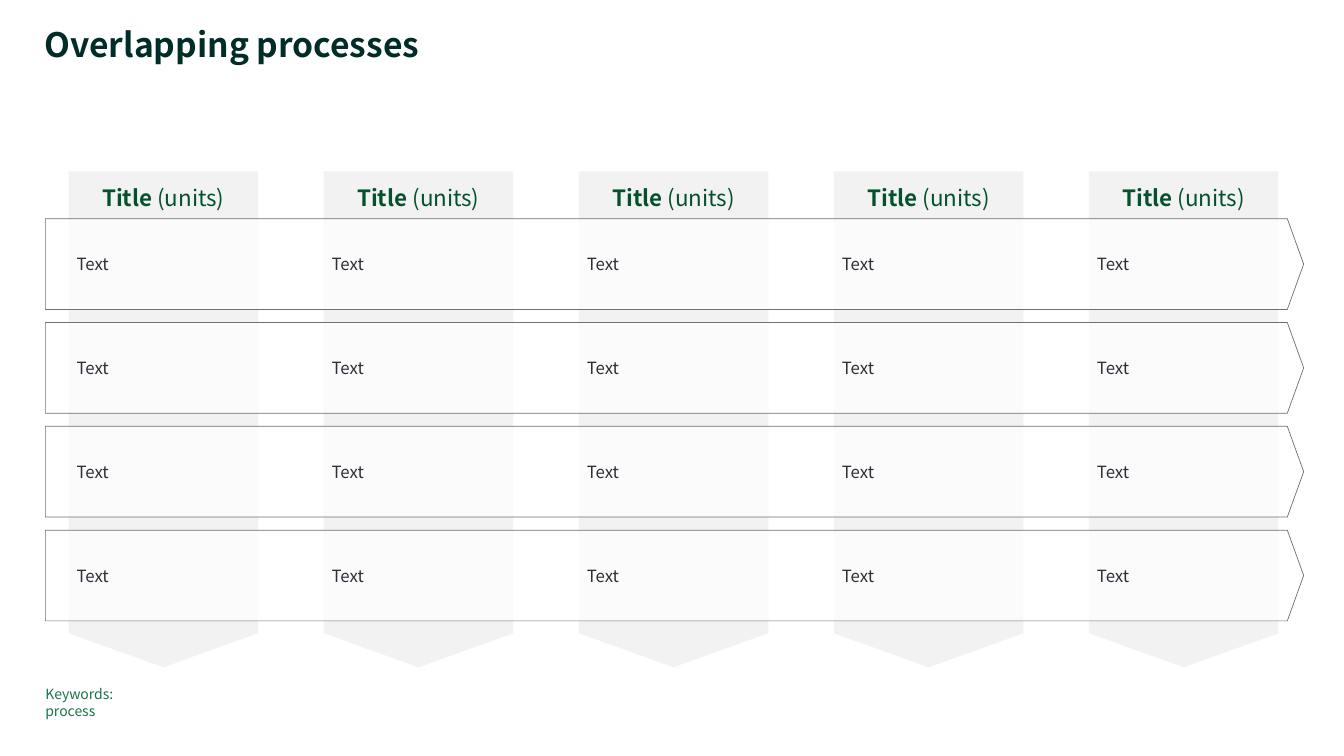
from lxml import etree
from pptx import Presentation
from pptx.dml.color import RGBColor
from pptx.enum.shapes import MSO_SHAPE
from pptx.enum.text import MSO_ANCHOR, PP_ALIGN
from pptx.oxml.ns import qn
from pptx.util import Inches, Pt

PENTAGON = MSO_SHAPE.PENTAGON
TOP, MIDDLE = MSO_ANCHOR.TOP, MSO_ANCHOR.MIDDLE
LEFT, CENTER = PP_ALIGN.LEFT, PP_ALIGN.CENTER

FONT = "Noto Sans CJK JP"
COLORS = {
    "title": "002D28",
    "heading": "03522D",
    "body": "2E2E38",
    "keywords": "1A7449",
    "band": "F2F2F2",
    "bar": "FFFFFF",
    "outline": "6E6F73",
}

# Grid in inches
MARGIN = 0.45
COLUMN_COUNT, COLUMN_LEFT, COLUMN_STEP, COLUMN_WIDTH = 5, 0.68, 2.53, 1.88
ROW_COUNT, ROW_TOP, ROW_STEP, ROW_HEIGHT = 4, 2.17, 1.03, 0.9
BAND_TOP, BAND_LENGTH = 1.7, 4.92
BAR_LENGTH = 12.48
HEADING_TOP, HEADING_HEIGHT = 1.82, 0.35
POINT_DEPTH = 0.18


def color(name):
    return RGBColor.from_string(COLORS[name])


def column_left(column):
    return COLUMN_LEFT + column * COLUMN_STEP


def row_top(row):
    return ROW_TOP + row * ROW_STEP


def format_frame(frame, anchor, insets=(0, 0, 0, 0)):
    frame.word_wrap = True
    frame.vertical_anchor = anchor
    (frame.margin_left, frame.margin_top,
     frame.margin_right, frame.margin_bottom) = map(Inches, insets)


def format_para(para, size, color_name, align=LEFT):
    para.alignment = align
    para.font.name = FONT
    para.font.size = Pt(size)
    para.font.color.rgb = color(color_name)


def add_text(page, area, text, size, color_name, anchor, inset=0):
    box = page.shapes.add_textbox(*map(Inches, area))
    format_frame(box.text_frame, anchor, (inset,) * 4)
    box.text_frame.text = text
    para = box.text_frame.paragraphs[0]
    format_para(para, size, color_name)


def add_arrow(page, area, fill_name):
    arrow = page.shapes.add_shape(PENTAGON, *map(Inches, area))
    arrow.adjustments[0] = POINT_DEPTH
    arrow.shadow.inherit = False
    arrow.fill.solid()
    arrow.fill.fore_color.rgb = color(fill_name)
    return arrow


def add_band(page, column):
    """Downward arrow behind one column, turned about its centre."""
    shift = (BAND_LENGTH - COLUMN_WIDTH) / 2
    area = (column_left(column) - shift, BAND_TOP + shift,
            BAND_LENGTH, COLUMN_WIDTH)
    band = add_arrow(page, area, "band")
    band.rotation = 90
    band.line.fill.background()


def add_bar(page, row):
    """Translucent arrow across one row."""
    area = (MARGIN, row_top(row), BAR_LENGTH, ROW_HEIGHT)
    bar = add_arrow(page, area, "bar")
    bar.line.color.rgb = color("outline")
    bar.line.width = Pt(0.5)
    fill_color = bar.element.spPr.find(qn("a:solidFill"))[0]
    etree.SubElement(fill_color, qn("a:alpha")).set("val", "75000")


def add_heading(page, column):
    """One-line heading centred over the whole column."""
    area = (column_left(column), HEADING_TOP, COLUMN_WIDTH, HEADING_HEIGHT)
    box = page.shapes.add_textbox(*map(Inches, area))
    format_frame(box.text_frame, MIDDLE, (0, 0, 0, 0.08))
    para = box.text_frame.paragraphs[0]
    format_para(para, 16, "heading", CENTER)
    for text, bold in (("Title ", True), ("(units)", False)):
        span = para.add_run()
        span.text = text
        span.font.bold = bold


def add_title(page, text):
    title = page.shapes.title
    title.left, title.top, title.width, title.height = map(
        Inches, (0.44, 0.28, 11.03, 0.37))
    format_frame(title.text_frame, TOP)
    title.text_frame.text = text
    para = title.text_frame.paragraphs[0]
    format_para(para, 24, "title")
    para.font.bold = True
    para.line_spacing = 0.9


def main():
    deck = Presentation()
    deck.slide_width, deck.slide_height = Inches(13.33), Inches(7.5)
    page = deck.slides.add_slide(deck.slide_layouts[5])
    add_title(page, "Overlapping processes")

    # Column bands lie behind the row bars
    for column in range(COLUMN_COUNT):
        add_band(page, column)
    for row in range(ROW_COUNT):
        add_bar(page, row)

    # Cell texts and column headings
    for row in range(ROW_COUNT):
        for column in range(COLUMN_COUNT):
            area = (column_left(column), row_top(row),
                    COLUMN_WIDTH, ROW_HEIGHT)
            add_text(page, area, "Text", 12, "body", MIDDLE, 0.08)
    for column in range(COLUMN_COUNT):
        add_heading(page, column)

    # Keywords
    add_text(page, (MARGIN, 6.8, 1.15, 0.17), "Keywords: process",
             10, "keywords", TOP)

    deck.save("out.pptx")


if __name__ == "__main__":
    main()
